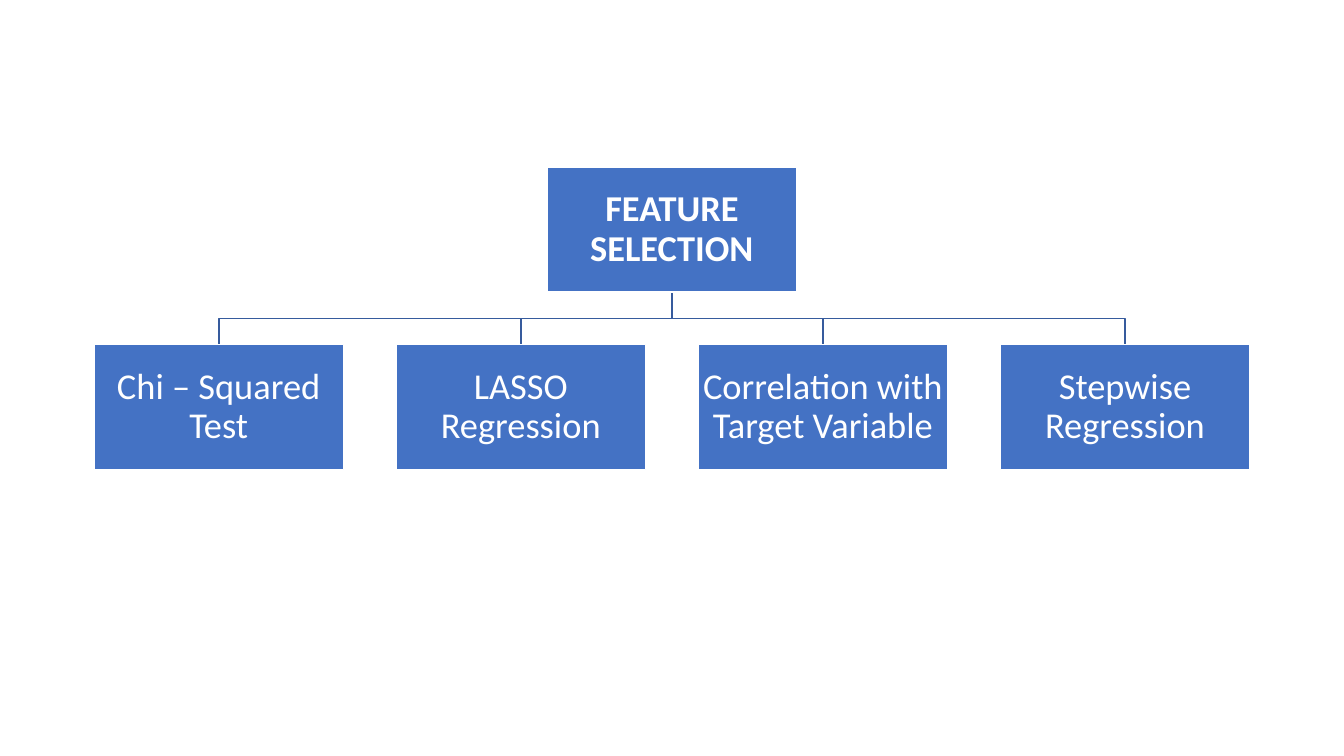
from pptx import Presentation
from pptx.dml.color import RGBColor
from pptx.enum.shapes import MSO_SHAPE
from pptx.enum.text import MSO_ANCHOR, PP_ALIGN
from pptx.util import Pt

ROOT = "FEATURE SELECTION"
METHODS = [
    "Chi – Squared Test",
    "LASSO Regression",
    "Correlation with Target Variable",
    "Stepwise Regression",
]
COLORS = {"box": "4472C4", "branch": "365B9D", "white": "FFFFFF"}

SLIDE_W, SLIDE_H = 960, 540
BOX_W, BOX_H = 178.4, 89.2
GAP = 37.4
ROOT_TOP, METHOD_TOP = 119.5, 246.2


def color(name):
    return RGBColor.from_string(COLORS[name])


def add_branch(slide, start_x, end_x):
    """Draw an elbow from the root's bottom edge to a method's top edge."""
    start_y = ROOT_TOP + BOX_H
    middle_y = (start_y + METHOD_TOP) / 2
    builder = slide.shapes.build_freeform(Pt(start_x), Pt(start_y))
    corners = [(start_x, middle_y), (end_x, middle_y), (end_x, METHOD_TOP)]
    builder.add_line_segments([(Pt(x), Pt(y)) for x, y in corners], close=False)
    branch = builder.convert_to_shape()
    branch.fill.background()
    branch.line.color.rgb = color("branch")
    branch.line.width = Pt(1)
    branch.shadow.inherit = False


def add_box(slide, center_x, top, label, bold=False):
    box = slide.shapes.add_shape(
        MSO_SHAPE.RECTANGLE, Pt(center_x - BOX_W / 2), Pt(top), Pt(BOX_W), Pt(BOX_H))
    box.fill.solid()
    box.fill.fore_color.rgb = color("box")
    box.line.color.rgb = color("white")
    box.line.width = Pt(1)
    box.shadow.inherit = False

    frame = box.text_frame
    frame.text = label
    frame.word_wrap = True
    frame.vertical_anchor = MSO_ANCHOR.MIDDLE
    frame.margin_left = frame.margin_right = Pt(1.3)
    frame.margin_top = frame.margin_bottom = Pt(1.3)
    paragraph = frame.paragraphs[0]
    paragraph.alignment = PP_ALIGN.CENTER
    paragraph.line_spacing = 0.9
    font = paragraph.runs[0].font
    font.name = "Calibri"
    font.size = Pt(26)
    font.bold = bold
    font.color.rgb = color("white")


def main():
    deck = Presentation()
    deck.slide_width, deck.slide_height = Pt(SLIDE_W), Pt(SLIDE_H)
    slide = deck.slides.add_slide(deck.slide_layouts[6])

    root_x = SLIDE_W / 2
    first_x = root_x - (len(METHODS) - 1) * (BOX_W + GAP) / 2
    method_xs = [first_x + i * (BOX_W + GAP) for i in range(len(METHODS))]

    for method_x in method_xs:
        add_branch(slide, root_x, method_x)
    add_box(slide, root_x, ROOT_TOP, ROOT, bold=True)
    for method_x, method in zip(method_xs, METHODS):
        add_box(slide, method_x, METHOD_TOP, method)

    deck.save("out.pptx")


if __name__ == "__main__":
    main()
